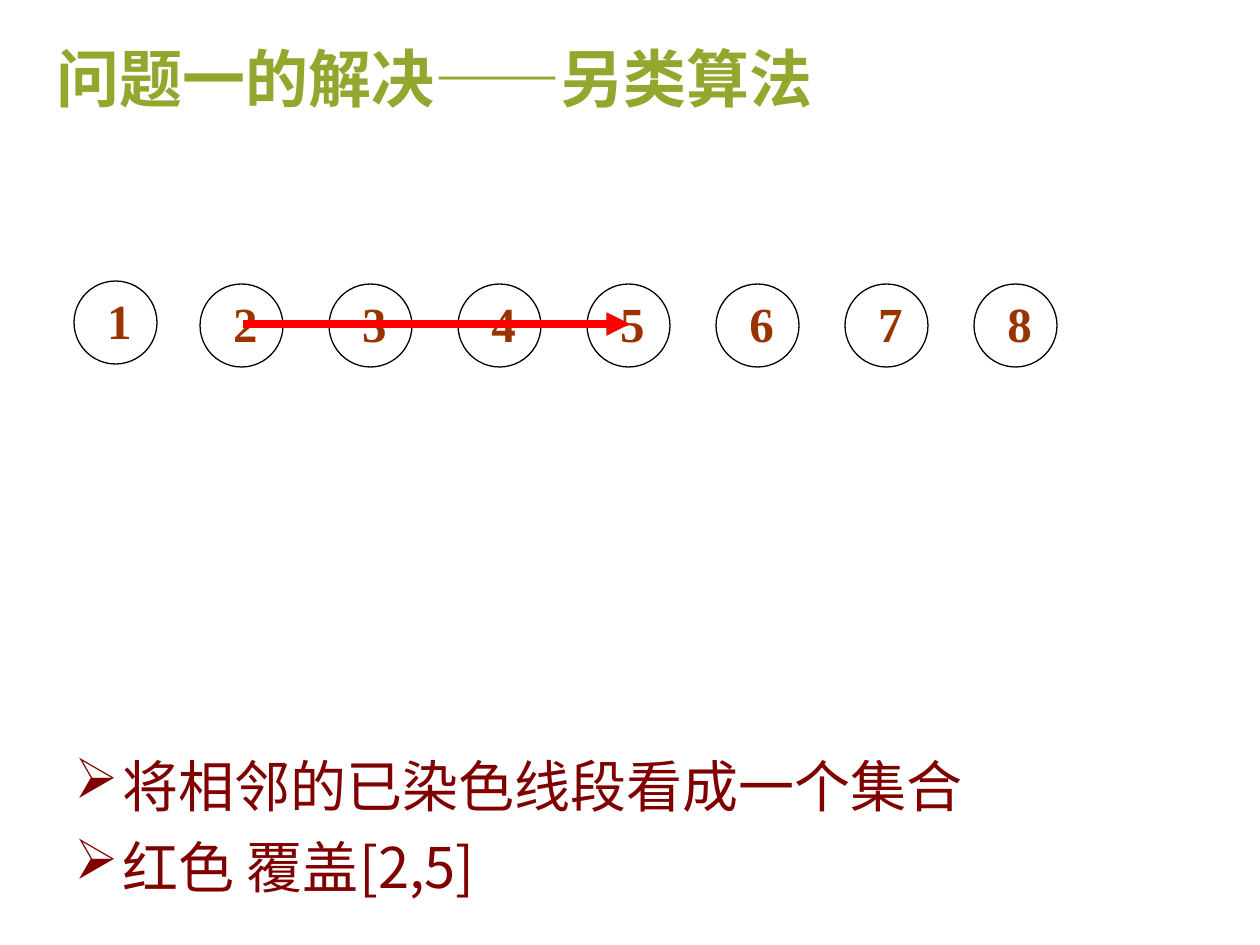
from lxml import etree
from pptx import Presentation
from pptx.dml.color import RGBColor
from pptx.enum.shapes import MSO_CONNECTOR, MSO_SHAPE
from pptx.enum.text import MSO_ANCHOR, PP_ALIGN
from pptx.oxml.ns import qn
from pptx.util import Pt

PX = 914400 / 126
LEFT, CENTER = PP_ALIGN.LEFT, PP_ALIGN.CENTER
TOP, MIDDLE = MSO_ANCHOR.TOP, MSO_ANCHOR.MIDDLE
OVAL, STRAIGHT = MSO_SHAPE.OVAL, MSO_CONNECTOR.STRAIGHT


def px(*lengths):
    return [round(length * PX) for length in lengths]


def write(paragraph, text, typeface, color, **font_format):
    run = paragraph.add_run()
    run.text = text
    run.font.name = typeface
    run.font.color.rgb = RGBColor.from_string(color)
    for attribute, value in font_format.items():
        setattr(run.font, attribute, value)
    etree.SubElement(run.font._element, qn("a:ea"), typeface=typeface)


prs = Presentation()
prs.slide_width, prs.slide_height = px(1260, 945)
slide = prs.slides.add_slide(prs.slide_layouts[5])

title = slide.shapes.title
title.left, title.top, title.width, title.height = px(44, 26, 1128, 116)
title.text_frame.vertical_anchor = MIDDLE
heading = title.text_frame.paragraphs[0]
heading.alignment = LEFT
heading.line_spacing = 0.8
write(heading, "问题一的解决——另类算法", "Noto Sans CJK JP", "93A72F",
      size=Pt(36), bold=True)

notes = slide.shapes.add_textbox(*px(62, 745, 1124, 185)).text_frame
notes.word_wrap = True
notes.vertical_anchor = TOP
indent = px(48)[0]
for index, point in enumerate(["将相邻的已染色线段看成一个集合", "红色 覆盖[2,5]"]):
    line = notes.add_paragraph() if index else notes.paragraphs[0]
    properties = line._p.get_or_add_pPr()
    properties.set("marL", str(indent))
    properties.set("indent", str(-indent))
    bullet_color = etree.SubElement(properties, qn("a:buClr"))
    etree.SubElement(bullet_color, qn("a:srgbClr"), val="800000")
    etree.SubElement(properties, qn("a:buChar"), char="➢")
    if index:
        line.space_before = Pt(8)
    write(line, point, "Noto Sans CJK SC", "800000", size=Pt(32))

for number in range(1, 9):
    x, y = (74, 281) if number == 1 else (200 + 129 * (number - 2), 284)
    node = slide.shapes.add_shape(OVAL, *px(x, y, 83, 83))
    node.shadow.inherit = False
    node.fill.solid()
    node.fill.fore_color.rgb = RGBColor.from_string("FFFFFF")
    node.line.color.rgb = RGBColor.from_string("000000")
    node.line.width = Pt(0.75)
    frame = node.text_frame
    frame.vertical_anchor = MIDDLE
    frame.margin_left, frame.margin_top, frame.margin_right, frame.margin_bottom = px(8, 0, 0, 0)
    label = frame.paragraphs[0]
    label.alignment = CENTER
    label.line_spacing = 0.96
    write(label, str(number), "Times New Roman", "993300", size=Pt(28), bold=True)

coverage = slide.shapes.add_connector(STRAIGHT, *px(243, 324, 630, 324))
coverage.line.color.rgb = RGBColor.from_string("FF0000")
coverage.line.width = Pt(4.5)
etree.SubElement(coverage.line._get_or_add_ln(), qn("a:tailEnd"), type="triangle")
etree.SubElement(coverage._element.spPr, qn("a:effectLst"))

prs.save("out.pptx")
